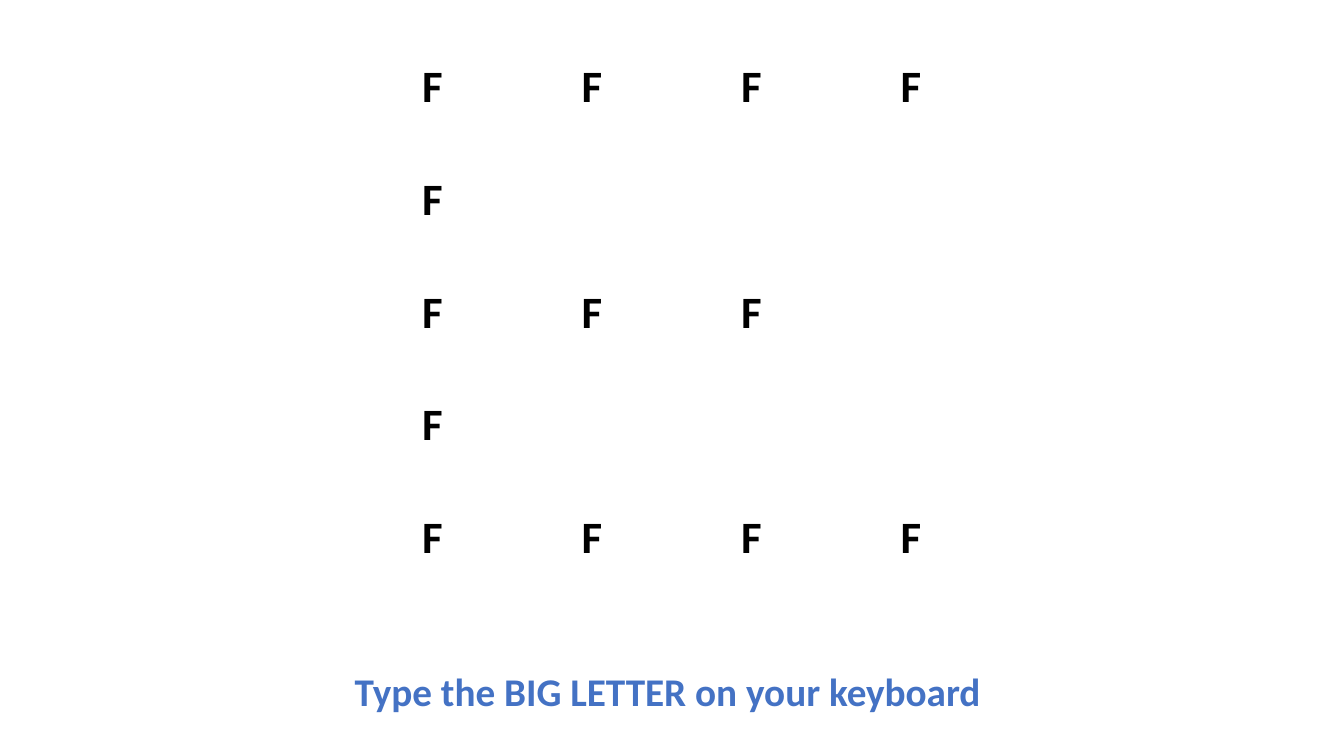
import pptx
import pptx.util
import pptx.dml.color
import pptx.enum.text
from pptx.util import Cm

BLACK = pptx.dml.color.RGBColor(0x00, 0x00, 0x00)
BLUE = pptx.dml.color.RGBColor(0x44, 0x72, 0xC4)
FONT_NAME = "Calibri"
SMALL_LETTER = "F"
LETTERS_PER_ROW = [4, 1, 3, 1, 4]
COLUMN_COUNT = 4


def format_font(paragraph, size, color):
    paragraph.font.name = FONT_NAME
    paragraph.font.size = pptx.util.Pt(size)
    paragraph.font.bold = True
    paragraph.font.color.rgb = color


presentation = pptx.Presentation()
presentation.slide_width = Cm(33.87)
presentation.slide_height = Cm(19.05)
slide = presentation.slides.add_slide(presentation.slide_layouts[6])

letter_table = slide.shapes.add_table(
    len(LETTERS_PER_ROW), COLUMN_COUNT, Cm(8.89), Cm(1.42), Cm(16.08), Cm(14.2)
).table
letter_table.first_row = False
letter_table.horz_banding = False

for row, letter_count in zip(letter_table.rows, LETTERS_PER_ROW):
    for column_index, cell in enumerate(row.cells):
        cell.fill.background()
        cell.margin_left = cell.margin_right = Cm(0.18)
        cell.margin_top = cell.margin_bottom = Cm(0)
        if column_index < letter_count:
            cell.text = SMALL_LETTER
            paragraph = cell.text_frame.paragraphs[0]
            paragraph.alignment = pptx.enum.text.PP_ALIGN.CENTER
            paragraph.line_spacing = 1.07
            format_font(paragraph, 32, BLACK)

instruction = slide.shapes.add_textbox(Cm(8.69), Cm(16.69), Cm(16.46), Cm(1.45))
instruction.text_frame.word_wrap = False
instruction.text_frame.auto_size = pptx.enum.text.MSO_AUTO_SIZE.SHAPE_TO_FIT_TEXT
instruction.text_frame.text = "Type the BIG LETTER on your keyboard"
format_font(instruction.text_frame.paragraphs[0], 28, BLUE)

presentation.save("out.pptx")
